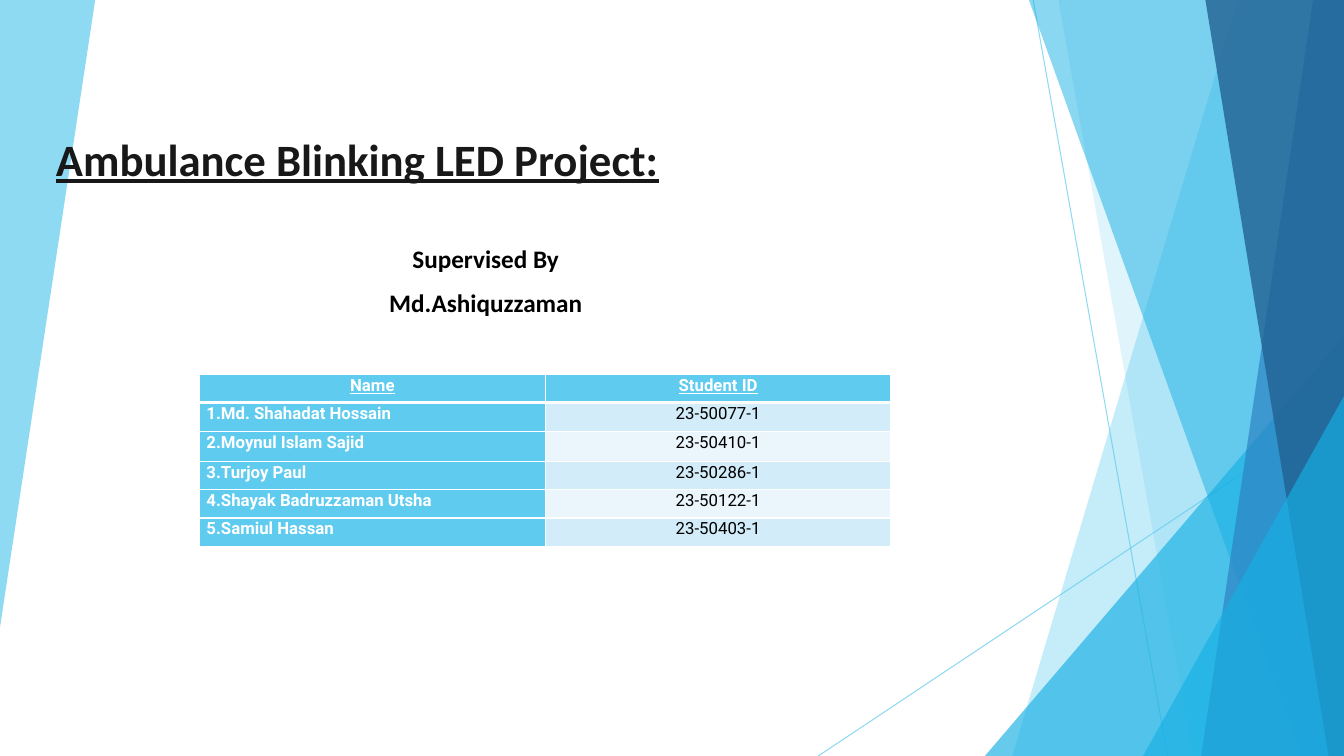
from dataclasses import dataclass

from lxml import etree
from pptx import Presentation
from pptx.dml.color import RGBColor
from pptx.enum import shapes, text
from pptx.oxml.ns import qn
from pptx.util import Pt

W, H = 960, 540
COLORS = {
    "sky": "5FCBEF", "azure": "17B0E4", "blue": "2E83C3", "navy": "226292",
    "band_dark": "D2ECF9", "band_light": "EAF6FC",
    "ink": "181818", "black": "000000", "white": "FFFFFF",
}
ALIGN = text.PP_ALIGN


@dataclass
class Polygon:
    points: list
    color: str
    opacity: int


@dataclass
class RightTriangle:
    """Triangle standing in the lower right corner of the slide."""
    left: float
    top: float
    color: str
    opacity: int


@dataclass
class Ray:
    start: tuple
    end: tuple
    color: str
    opacity: int


def facet(top_x: float, bottom_x: float, color: str, opacity: int) -> Polygon:
    """Full-height polygon from a slanted left side to the right slide edge."""
    return Polygon([(top_x, 0), (W, 0), (W, H), (bottom_x, H)], color, opacity)


DECORATION = [
    Polygon([(0, 0), (68, 0), (0, 448)], "sky", 70),
    Ray((738, 0), (834, H), "sky", 70),
    Ray((W, 290), (584.5, H), "sky", 70),
    facet(884, 723, "sky", 36),
    facet(756, 852, "sky", 20),
    RightTriangle(703.5, 240, "azure", 66),
    facet(735, 929.5, "azure", 50),
    facet(938, 858, "blue", 70),
    facet(861, 949, "navy", 80),
    RightTriangle(816.5, 283, "azure", 66),
]

HEADER = ("Name", "Student ID")
STUDENTS = [
    ("1.Md. Shahadat Hossain", "23-50077-1"),
    ("2.Moynul Islam Sajid", "23-50410-1"),
    ("3.Turjoy Paul", "23-50286-1"),
    ("4.Shayak Badruzzaman Utsha", "23-50122-1"),
    ("5.Samiul Hassan", "23-50403-1"),
]
ROW_HEIGHTS = (20, 20.5, 21.5, 20, 20.5, 20.5)


def rgb(name: str) -> RGBColor:
    return RGBColor.from_string(COLORS[name])


def paint(fill, color: str, opacity: int = 100) -> None:
    fill.solid()
    fill.fore_color.rgb = rgb(color)
    if opacity < 100:
        clr = fill._xPr.find(qn("a:solidFill"))[0]
        etree.SubElement(clr, qn("a:alpha"), val=str(opacity * 1000))


def draw(s, item) -> None:
    if isinstance(item, Ray):
        ends = [Pt(v) for v in (*item.start, *item.end)]
        cn = s.shapes.add_connector(shapes.MSO_CONNECTOR.STRAIGHT, *ends)
        cn.line.width = Pt(0.75)
        paint(cn.line.fill, item.color, item.opacity)
        etree.SubElement(cn._element.spPr, qn("a:effectLst"))
        return
    if isinstance(item, Polygon):
        first, *rest = [(Pt(x), Pt(y)) for x, y in item.points]
        builder = s.shapes.build_freeform(*first)
        builder.add_line_segments(rest)
        sp = builder.convert_to_shape()
    else:
        sp = s.shapes.add_shape(
            shapes.MSO_SHAPE.ISOSCELES_TRIANGLE, Pt(item.left), Pt(item.top),
            Pt(W - item.left), Pt(H - item.top))
        sp.adjustments[0] = 1
    sp.shadow.inherit = False
    sp.line.fill.background()
    paint(sp.fill, item.color, item.opacity)


def add_run(p, content: str, color: str, **fmt) -> None:
    r = p.add_run()
    r.text = content
    for key, value in fmt.items():
        setattr(r.font, key, value)
    r.font.color.rgb = rgb(color)


def set_title(s) -> None:
    title = s.shapes.title
    title.element.getparent().append(title.element)  # bring to front
    place = dict(left=Pt(40), top=Pt(94), width=Pt(490), height=Pt(40))
    for key, value in place.items():
        setattr(title, key, value)
    tf = title.text_frame
    frame = dict(margin_left=0, margin_top=0, margin_right=0, margin_bottom=0,
                 vertical_anchor=text.MSO_ANCHOR.TOP, word_wrap=True,
                 auto_size=text.MSO_AUTO_SIZE.NONE)
    for key, value in frame.items():
        setattr(tf, key, value)
    p = tf.paragraphs[0]
    p.alignment = ALIGN.LEFT
    # Underlined tabs carry the rule past the last word.
    tabs = etree.SubElement(p._p.get_or_add_pPr(), qn("a:tabLst"))
    for stop in (453, 473):
        etree.SubElement(tabs, qn("a:tab"), pos=str(Pt(stop)), algn="l")
    style = dict(name="Calibri", bold=True, underline=True)
    add_run(p, "Ambulance Blinking LED Project:\t", "ink", size=Pt(32), **style)
    add_run(p, "\t", "ink", size=Pt(18), **style)


def set_borders(cell, bottom: float) -> None:
    tc_pr = cell._tc.get_or_add_tcPr()
    for side, width in dict(L=1, R=1, T=1, B=bottom).items():
        ln = etree.SubElement(tc_pr, qn(f"a:ln{side}"), w=str(Pt(width)))
        fill = etree.SubElement(ln, qn("a:solidFill"))
        etree.SubElement(fill, qn("a:srgbClr"), val=COLORS["white"])


def add_student_table(s) -> None:
    rows = [HEADER, *STUDENTS]
    table = s.shapes.add_table(len(rows), len(HEADER), Pt(142.5), Pt(267.5),
                               Pt(494), Pt(sum(ROW_HEIGHTS))).table
    for i, (row, height) in enumerate(zip(rows, ROW_HEIGHTS)):
        table.rows[i].height = Pt(height)
        for j, content in enumerate(row):
            is_header, is_name = i == 0, j == 0
            strong = is_header or is_name
            cell = table.cell(i, j)
            set_borders(cell, 3 if is_header else 1)
            band = "band_dark" if i % 2 else "band_light"
            paint(cell.fill, "sky" if strong else band)
            margins = dict(margin_left=Pt(5), margin_right=Pt(5),
                           margin_top=0, margin_bottom=0)
            for key, value in margins.items():
                setattr(cell, key, value)
            p = cell.text_frame.paragraphs[0]
            p.line_spacing = 1.07
            p.alignment = ALIGN.LEFT if is_name and not is_header else ALIGN.CENTER
            add_run(p, content, "white" if strong else "black", name="Roboto",
                    size=Pt(12), bold=strong, underline=is_header)


def add_supervisor(s) -> None:
    tf = s.shapes.add_textbox(Pt(232), Pt(169), Pt(230), Pt(61)).text_frame
    tf.word_wrap = True
    for i, content in enumerate(("Supervised By", "Md.Ashiquzzaman")):
        p = tf.add_paragraph() if i else tf.paragraphs[0]
        fmt = dict(alignment=ALIGN.CENTER, line_spacing=1.07, space_after=Pt(8))
        for key, value in fmt.items():
            setattr(p, key, value)
        add_run(p, content, "black", name="Calibri", size=Pt(18), bold=True)


def main() -> None:
    prs = Presentation()
    prs.slide_width, prs.slide_height = Pt(W), Pt(H)
    s = prs.slides.add_slide(prs.slide_layouts[5])
    for item in DECORATION:
        draw(s, item)
    set_title(s)
    add_student_table(s)
    add_supervisor(s)
    prs.save("out.pptx")


if __name__ == "__main__":
    main()
